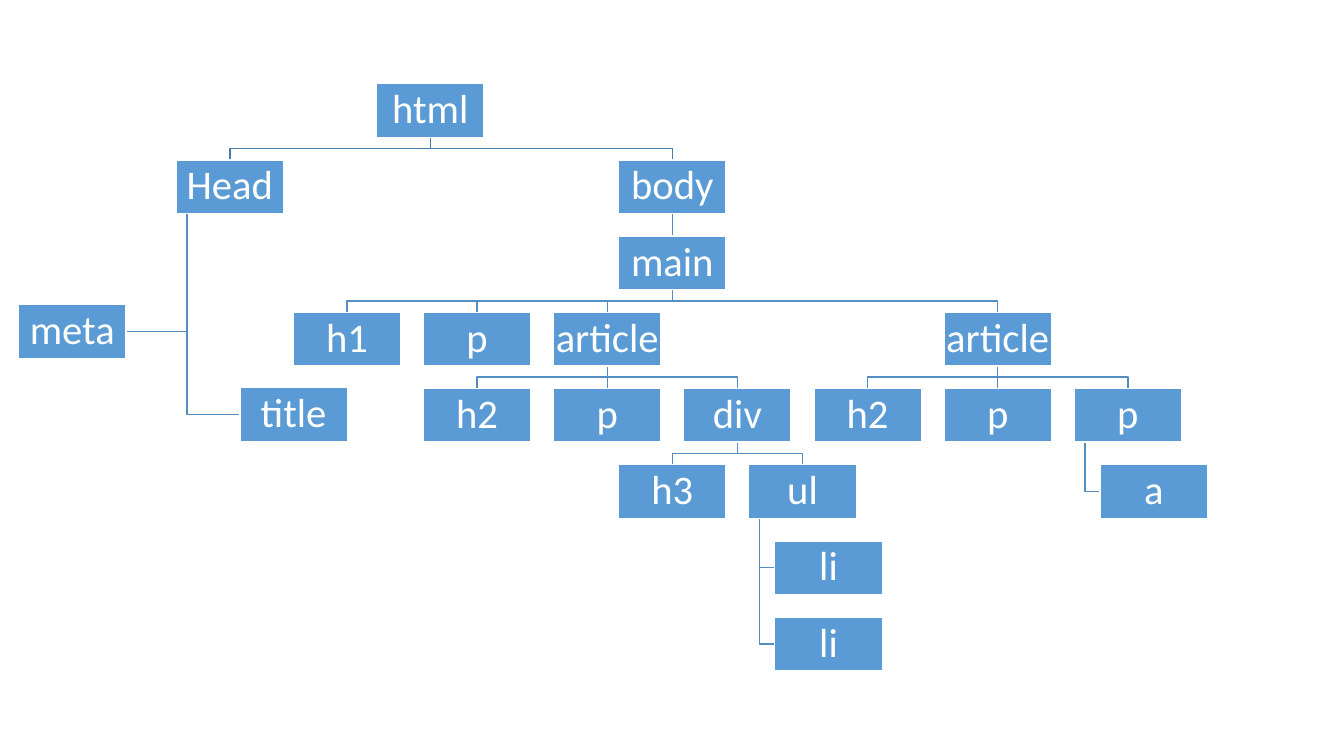
from lxml import etree
from pptx import Presentation
from pptx.dml.color import RGBColor
from pptx.enum import shapes, text
from pptx.oxml import ns
from pptx.util import Cm, Pt

COLORS = {"box": "5B9BD5", "text": "FFFFFF", "top_link": "497CAB", "link": "538DC1"}

NODES = {
    "html": ("html", 0.64, 0),
    "head": ("Head", -0.9, 1),
    "meta": ("meta", -2.11, 2.9),
    "title": ("title", -0.41, 3.99),
    "body": ("body", 2.5, 1),
    "main": ("main", 2.5, 2),
    "h1": ("h1", 0, 3),
    "intro": ("p", 1, 3),
    "article1": ("article", 2, 3),
    "article1_h2": ("h2", 1, 4),
    "article1_p": ("p", 2, 4),
    "div": ("div", 3, 4),
    "h3": ("h3", 2.5, 5),
    "ul": ("ul", 3.5, 5),
    "li1": ("li", 3.7, 6),
    "li2": ("li", 3.7, 7),
    "article2": ("article", 5, 3),
    "article2_h2": ("h2", 4, 4),
    "article2_p1": ("p", 5, 4),
    "article2_p2": ("p", 6, 4),
    "a": ("a", 6.2, 5),
}
BRANCHES = {
    "html": ["head", "body"],
    "body": ["main"],
    "main": ["h1", "intro", "article1", "article2"],
    "article1": ["article1_h2", "article1_p", "div"],
    "article2": ["article2_h2", "article2_p1", "article2_p2"],
    "div": ["h3", "ul"],
}
HANGING = {"head": ["meta", "title"], "ul": ["li1", "li2"], "article2_p2": ["a"]}

LEFT, TOP = Cm(7.39), Cm(2.11)
COL_STEP, ROW_STEP = Cm(3.28), Cm(1.92)
BOX_W, BOX_H = Cm(2.71), Cm(1.35)
INSET = Cm(0.05)


def rgb(name):
    return RGBColor.from_string(COLORS[name])


def add_box(slide, label, col, row):
    sp = slide.shapes.add_shape(
        shapes.MSO_SHAPE.RECTANGLE,
        int(LEFT + col * COL_STEP), int(TOP + row * ROW_STEP), BOX_W, BOX_H)
    sp.shadow.inherit = False
    sp.fill.solid()
    sp.fill.fore_color.rgb = rgb("box")
    sp.line.color.rgb = rgb("text")
    sp.line.width = Pt(1)
    tf = sp.text_frame
    tf.word_wrap = True
    tf.vertical_anchor = text.MSO_ANCHOR.MIDDLE
    tf.margin_left = tf.margin_right = tf.margin_top = tf.margin_bottom = INSET
    p = tf.paragraphs[0]
    p.text = label
    p.alignment = text.PP_ALIGN.CENTER
    p.line_spacing = 0.9
    p.font.name = "Calibri"
    p.font.size = Pt(29)
    p.font.color.rgb = rgb("text")
    return sp


def finish_link(slide, link, color):
    link.line.color.rgb = rgb(color)
    link.line.width = Pt(1)
    slide.shapes._spTree.insert(2, link._element)


def add_straight(slide, parent, child, color):
    link = slide.shapes.add_connector(shapes.MSO_CONNECTOR.STRAIGHT, 0, 0, 0, 0)
    link.begin_connect(parent, 2)
    link.end_connect(child, 0)
    finish_link(slide, link, color)
    etree.SubElement(link._element.spPr, ns.qn("a:effectLst"))


def add_bent(slide, points, color):
    builder = slide.shapes.build_freeform(*points[0])
    builder.add_line_segments(points[1:], close=False)
    link = builder.convert_to_shape()
    link.shadow.inherit = False
    link.fill.background()
    finish_link(slide, link, color)


def add_branch(slide, parent, child, color):
    x1, x2 = parent.left + BOX_W // 2, child.left + BOX_W // 2
    if x1 == x2:
        add_straight(slide, parent, child, color)
        return
    y1, y2 = parent.top + BOX_H, child.top
    middle = (y1 + y2) // 2
    add_bent(slide, [(x1, y1), (x1, middle), (x2, middle), (x2, y2)], color)


def add_hanging(slide, parent, child):
    x = parent.left + BOX_W // 10
    y = child.top + BOX_H // 2
    end = child.left if child.left > x else child.left + BOX_W
    add_bent(slide, [(x, parent.top + BOX_H), (x, y), (end, y)], "link")


def main():
    prs = Presentation()
    prs.slide_width, prs.slide_height = Cm(33.87), Cm(19.05)
    slide = prs.slides.add_slide(prs.slide_layouts[6])
    boxes = {key: add_box(slide, *node) for key, node in NODES.items()}
    for parent, children in BRANCHES.items():
        color = "top_link" if parent == "html" else "link"
        for child in children:
            add_branch(slide, boxes[parent], boxes[child], color)
    for parent, children in HANGING.items():
        for child in children:
            add_hanging(slide, boxes[parent], boxes[child])
    prs.save("out.pptx")


if __name__ == "__main__":
    main()
